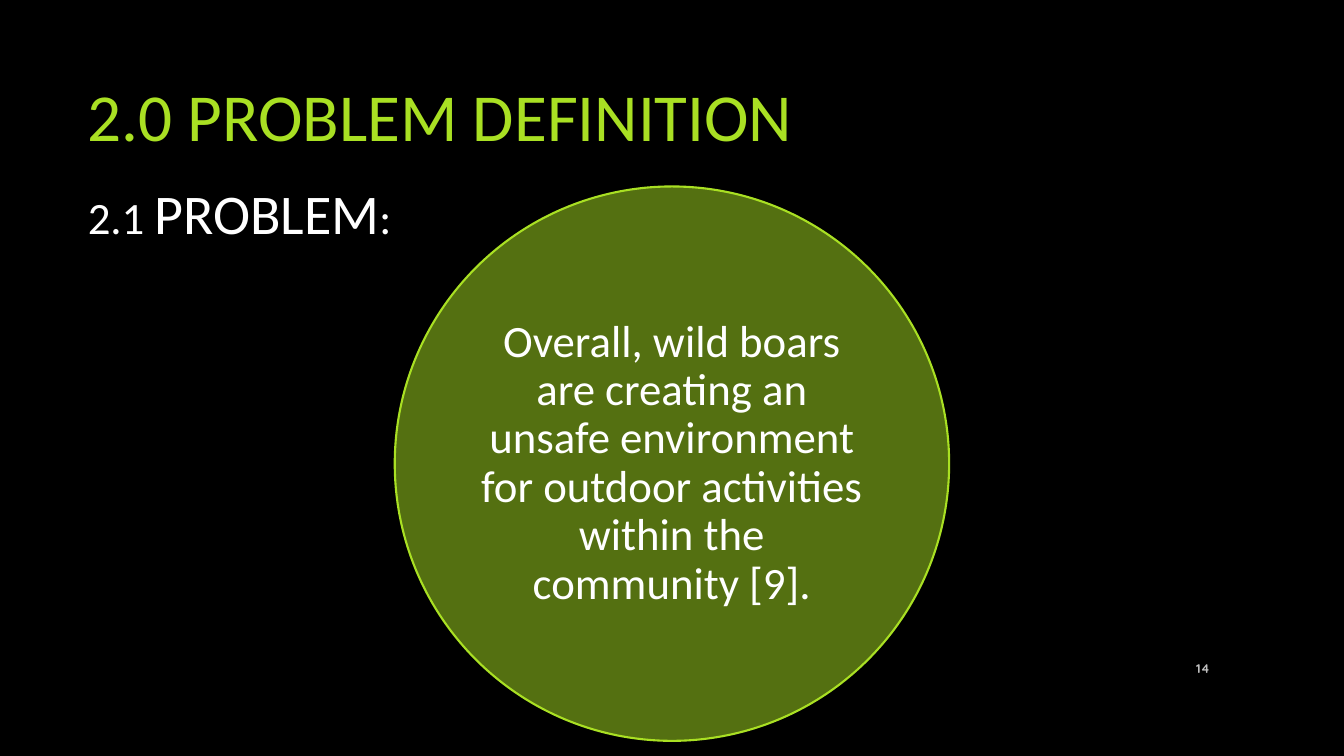
from lxml.etree import SubElement
from pptx import Presentation
from pptx.dml.color import RGBColor
from pptx.enum.shapes import MSO_SHAPE
from pptx.enum.text import MSO_ANCHOR, MSO_AUTO_SIZE, PP_ALIGN
from pptx.oxml.ns import qn
from pptx.util import Pt

COLORS = {"background": "000000", "lime": "A9E023", "text": "FFFFFF", "number": "BFBFBF"}


def color(name):
    return RGBColor.from_string(COLORS[name])


def set_all(target, values):
    for name, value in values.items():
        setattr(target, name, value)


class SlideBuilder:
    """Holds the shared text style and the page being built."""

    font_name = "Calibri"

    def __init__(self, deck):
        self.page = deck.slides.add_slide(deck.slide_layouts[1])
        background = self.page.background.fill
        background.solid()
        background.fore_color.rgb = color("background")

    def add_text(self, box, text, size, ink, anchor=MSO_ANCHOR.MIDDLE,
                 paragraph_format=None, **font):
        """Fill the box with one formatted paragraph and return its span."""
        frame = box.text_frame
        set_all(frame, {"word_wrap": True, "auto_size": MSO_AUTO_SIZE.NONE,
                        "vertical_anchor": anchor})
        paragraph = frame.paragraphs[0]
        set_all(paragraph, {"alignment": PP_ALIGN.LEFT, "space_before": Pt(0),
                            **(paragraph_format or {})})
        span = paragraph.add_run()
        span.text = text
        set_all(span.font, {"name": self.font_name, "size": Pt(size), **font})
        span.font.color.rgb = color(ink)
        return span

    def place(self, box, left, top, width, height):
        set_all(box, {"left": Pt(left), "top": Pt(top),
                      "width": Pt(width), "height": Pt(height)})

    def title(self, text, *area):
        box = self.page.shapes.title
        self.place(box, *area)
        self.add_text(box, text, 48, "lime")

    def heading(self, text, *area):
        """Use the body placeholder for an unbulleted line in small capitals."""
        box = self.page.placeholders[1]
        self.place(box, *area)
        properties = box.text_frame.paragraphs[0]._p.get_or_add_pPr()
        properties.set("marL", "0")
        properties.set("indent", "0")
        SubElement(properties, qn("a:buNone"))
        span = self.add_text(box, text, 40, "text", MSO_ANCHOR.TOP, {"space_after": Pt(6)})
        span._r.get_or_add_rPr().set("cap", "small")

    def circle(self, text, left, top, diameter):
        disc = self.page.shapes.add_shape(MSO_SHAPE.OVAL, Pt(left), Pt(top),
                                          Pt(diameter), Pt(diameter))
        disc.shadow.inherit = False
        disc.fill.solid()
        disc.fill.fore_color.rgb = color("lime")
        fill_color = disc._element.spPr.find(qn("a:solidFill"))[0]
        SubElement(fill_color, qn("a:alpha"), val="50000")
        disc.line.color.rgb = color("lime")
        disc.line.width = Pt(1.5)
        sides = ("left", "top", "right", "bottom")
        set_all(disc.text_frame, {f"margin_{side}": Pt(0) for side in sides})
        self.add_text(disc, text, 32, "text",
                      paragraph_format={"alignment": PP_ALIGN.CENTER, "line_spacing": 0.9})

    def page_number(self, text, *area):
        box = self.page.shapes.add_textbox(*map(Pt, area))
        self.add_text(box, text, 9, "number", paragraph_format={"alignment": PP_ALIGN.RIGHT},
                      name="Quicksand", bold=True)


def main():
    deck = Presentation()
    set_all(deck, {"slide_width": Pt(960), "slide_height": Pt(540)})
    builder = SlideBuilder(deck)
    builder.title("2.0 PROBLEM DEFINITION", 55.5, 31.7, 780, 100)
    builder.page_number("14", 828, 463, 43.2, 28.8)
    builder.heading("2.1 PROBLEM:", 55.5, 123.8, 826.5, 92)
    builder.circle("Overall, wild boars are creating an unsafe environment for "
                   "outdoor activities within the community [9].", 282, 133.2, 396)
    deck.save("out.pptx")


if __name__ == "__main__":
    main()
